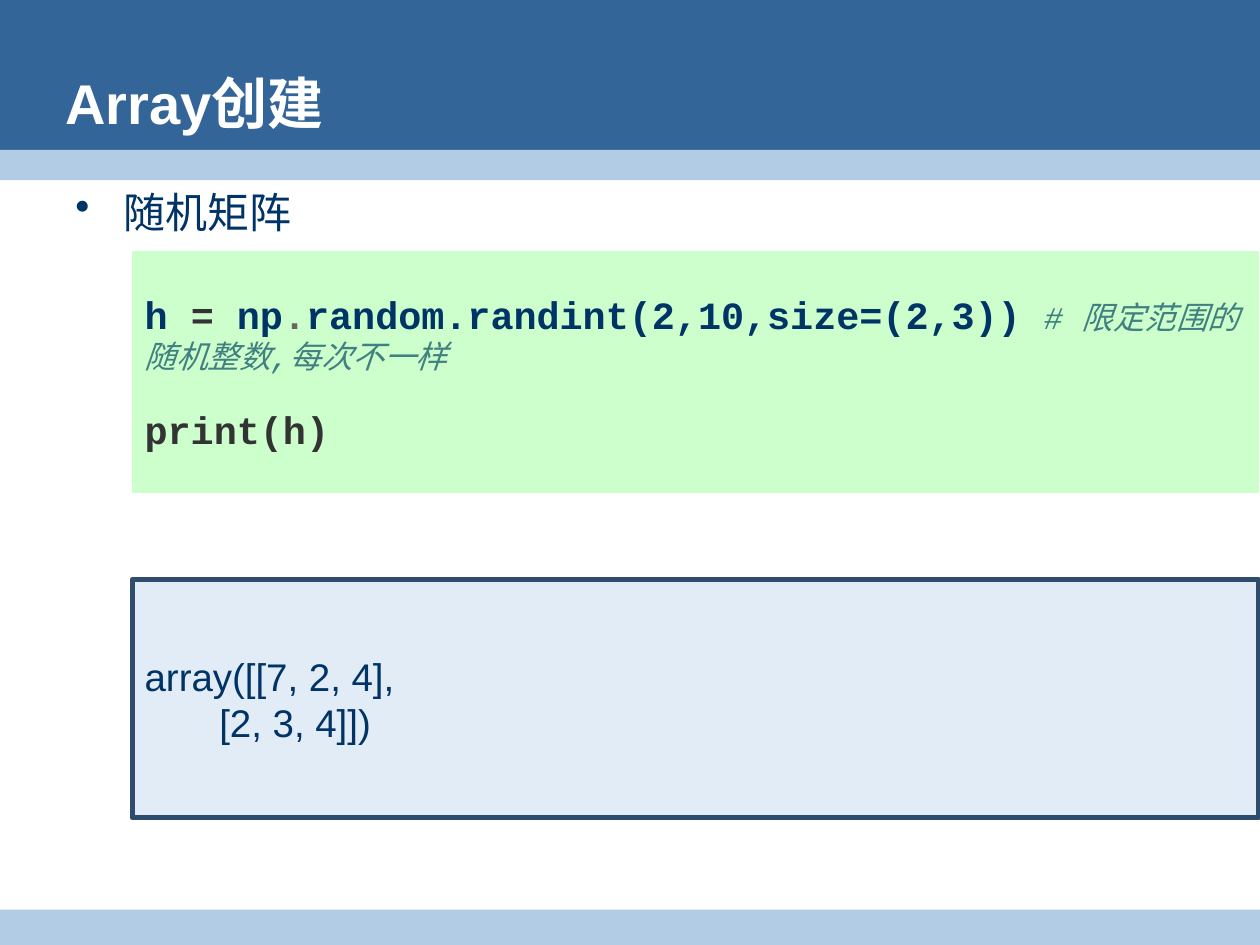
from pptx import Presentation
from pptx.dml.color import RGBColor
from pptx.enum.shapes import MSO_SHAPE as Shape
from pptx.enum.text import MSO_ANCHOR as Anchor, PP_ALIGN as Align
from pptx.oxml import parse_xml
from pptx.oxml.ns import nsdecls
from pptx.util import Inches, Pt

NAVY, PALE = "003366", "B3CCE6"


def style(run, size, color, face="Arial", bold=False, slant=False):
    font = run.font
    font.size, font.name = Pt(size), face
    font.bold, font.italic = bold, slant
    font.color.rgb = RGBColor.from_string(color)


def block(kind, left, top, width, height, fill):
    box = slide.shapes.add_shape(
        kind, Inches(left), Inches(top), Inches(width), Inches(height))
    box.shadow.inherit = False
    box.fill.solid()
    box.fill.fore_color.rgb = RGBColor.from_string(fill)
    box.line.fill.background()
    box.text_frame.word_wrap = True
    box.text_frame.vertical_anchor = Anchor.MIDDLE
    return box


prs = Presentation()
prs.slide_width, prs.slide_height = Inches(10), Inches(7.5)
slide = prs.slides.add_slide(prs.slide_layouts[6])

# Header and footer bands
for top, height, fill in [(0, 1.31, "336599"), (1.19, 0.24, PALE), (7.22, 0.3, PALE)]:
    block(Shape.RECTANGLE, 0, top, 10, height, fill)

# Bullet line
body = slide.shapes.add_textbox(Inches(0.5), Inches(1.43), Inches(9.25), Inches(0.55))
body.text_frame.word_wrap = True
para = body.text_frame.paragraphs[0]
para.text = "随机矩阵"
props = para._p.get_or_add_pPr()
props.set("marL", str(Inches(0.38)))
props.set("indent", str(-Inches(0.38)))
props.append(parse_xml(
    f'<a:buClr {nsdecls("a")}><a:srgbClr val="{NAVY}"/></a:buClr>'))
props.append(parse_xml(f'<a:buChar {nsdecls("a")} char="•"/>'))
style(para.runs[0], 24, NAVY)

# Title
title = slide.shapes.add_textbox(Inches(0.42), Inches(0.52), Inches(9.06), Inches(0.58))
title.text_frame.word_wrap = True
title.text_frame.vertical_anchor = Anchor.MIDDLE
title.text_frame.text = "Array创建"
style(title.text_frame.paragraphs[0].runs[0], 32, "FFFFFF", bold=True)

# Code panel: each line is a list of coloured parts
code = block(Shape.FLOWCHART_PROCESS, 1.05, 1.99, 8.94, 1.92, "CCFFCC")
note = "408080"
lines = [
    [("h ", NAVY), ("= ", "333333"), ("np", NAVY), (".", "666666"),
     ("random.randint(2,10,size=(2,3)) ", NAVY),
     ("# 限定范围的随机整数,每次不一样", note)],
    [("print(h)", "333333")],
]
for num, parts in enumerate(lines):
    frame = code.text_frame
    para = frame.add_paragraph() if num else frame.paragraphs[0]
    para.alignment = Align.LEFT
    para.space_before, para.space_after = Pt(6 if num else 0), Pt(12)
    for text, color in parts:
        run = para.add_run()
        run.text = text
        aside = color == note
        style(run, 18 if aside else 22, color, "Courier New", not aside, aside)

# Output panel
out = block(Shape.RECTANGLE, 1.05, 4.6, 8.94, 1.89, "E2ECF6")
out.line.color.rgb = RGBColor.from_string("2E4C6B")
out.line.width = Pt(3)
out.text_frame.text = "array([[7, 2, 4],\n       [2, 3, 4]])"
for para in out.text_frame.paragraphs:
    para.alignment = Align.LEFT
    style(para.runs[0], 22, NAVY)

prs.save("out.pptx")
